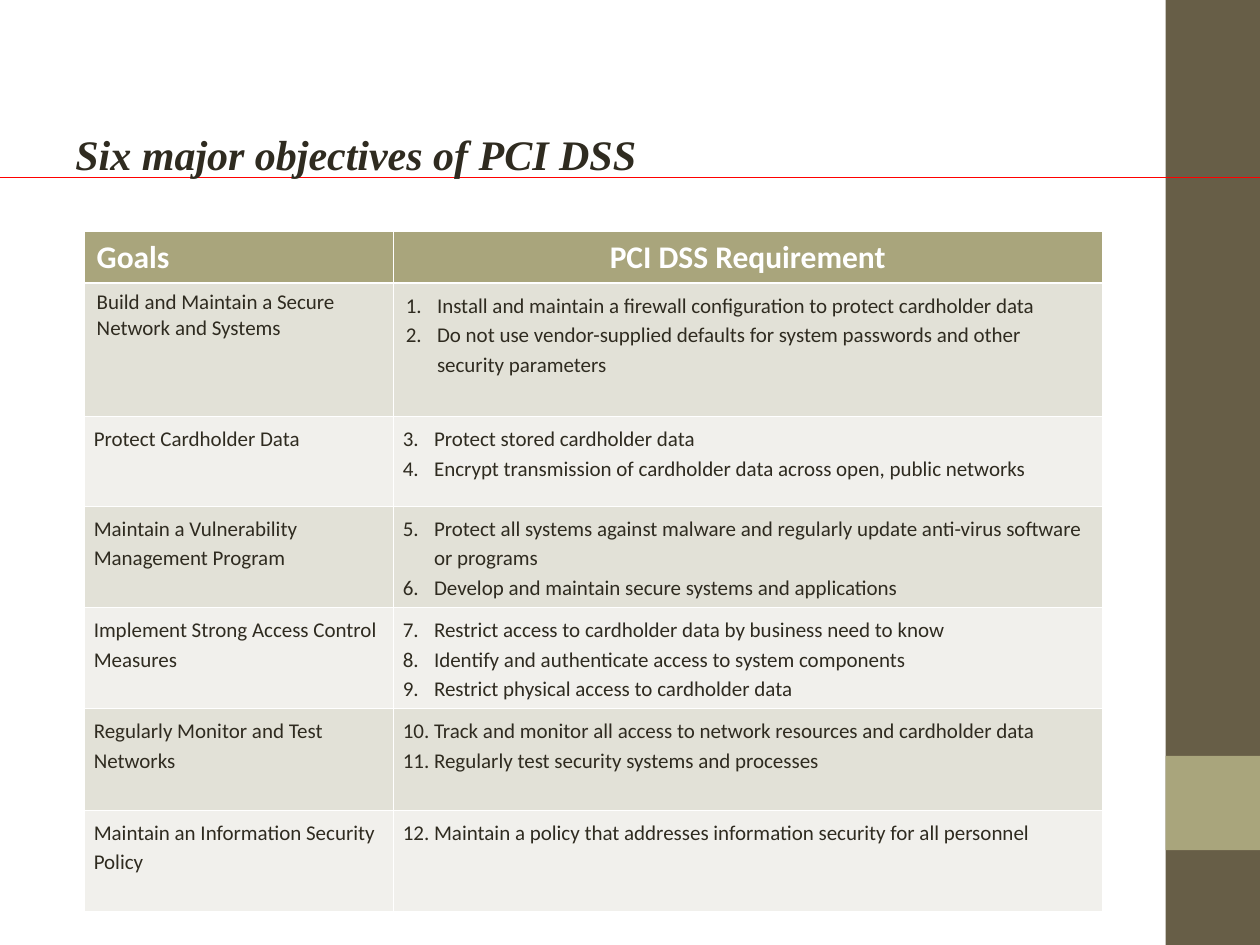
from lxml import etree
from pptx import Presentation
from pptx.dml.color import RGBColor
from pptx.enum import shapes, text
from pptx.oxml import ns
from pptx.util import Cm, Pt

DARK, OLIVE, WHITE = "2F2B20", "A9A57C", "FFFFFF"
BANDS = ["E2E1D7", "F1F0EC"]


def tint(part, hue):
    """Give a fill a solid colour."""
    part.solid()
    part.fore_color.rgb = RGBColor.from_string(hue)


def style(par, face, size, hue, bold=False, slant=False):
    """Format every run of a paragraph."""
    for run in par.runs:
        font = run.font
        font.name, font.size = face, Pt(size)
        font.bold, font.italic = bold, slant
        tint(font.fill, hue)


deck = Presentation()
deck.slide_width, deck.slide_height = Cm(25.4), Cm(19.05)
slide = deck.slides.add_slide(deck.slide_layouts[6])

# Side bar with its accent square
for top, high, hue in [(0, 19.05, "675E47"), (15.24, 1.9, OLIVE)]:
    bar = slide.shapes.add_shape(shapes.MSO_SHAPE.RECTANGLE,
                                 Cm(23.5), Cm(top), Cm(1.9), Cm(high))
    bar.shadow.inherit = False
    tint(bar.fill, hue)
    bar.line.fill.background()

# Rule below the title
rule = slide.shapes.add_connector(shapes.MSO_CONNECTOR.STRAIGHT,
                                  Cm(0), Cm(3.58), Cm(25.4), Cm(3.58))
tint(rule.line.fill, "FF0000")
rule.line.width = Pt(0.75)
etree.SubElement(rule._element.spPr, ns.qn("a:effectLst"))

# Goals, each with its numbered requirements
goals = [
    ("Build and Maintain a Secure Network and Systems", 2.69, [
        "Install and maintain a firewall configuration to protect cardholder data",
        "Do not use vendor-supplied defaults for system passwords and other "
        "security parameters"]),
    ("Protect Cardholder Data", 1.81, [
        "Protect stored cardholder data",
        "Encrypt transmission of cardholder data across open, public networks"]),
    ("Maintain a Vulnerability Management Program", 2.04, [
        "Protect all systems against malware and regularly update anti-virus "
        "software or programs",
        "Develop and maintain secure systems and applications"]),
    ("Implement Strong Access Control Measures", 2.04, [
        "Restrict access to cardholder data by business need to know",
        "Identify and authenticate access to system components",
        "Restrict physical access to cardholder data"]),
    ("Regularly Monitor and Test Networks", 2.04, [
        "Track and monitor all access to network resources and cardholder data",
        "Regularly test security systems and processes"]),
    ("Maintain an Information Security Policy", 2.04, [
        "Maintain a policy that addresses information security for all personnel"]),
]
highs = [1.03] + [high for _, high, _ in goals]
grid = slide.shapes.add_table(len(highs), 2, Cm(1.7), Cm(4.67),
                              Cm(20.52), Cm(sum(highs))).table
for col, wide in zip(grid.columns, [6.23, 14.29]):
    col.width = Cm(wide)
for row, high in zip(grid.rows, highs):
    row.height = Cm(high)

# Header row
for col, name in enumerate(["Goals", "PCI DSS Requirement"]):
    cell = grid.cell(0, col)
    cell.text_frame.text = name
    style(cell.text_frame.paragraphs[0], "Calibri", 18, WHITE, bold=True)
grid.cell(0, 1).text_frame.paragraphs[0].alignment = text.PP_ALIGN.CENTER

# Body rows, numbered on through the whole table
start = 1
for row, (goal, _, needs) in enumerate(goals, 1):
    left, right = grid.cell(row, 0).text_frame, grid.cell(row, 1).text_frame
    left.text, right.text = goal, "\n".join(needs)
    for par in left.paragraphs + right.paragraphs:
        style(par, "Calibri", 12, DARK)
        par.line_spacing = 1.15
    if row == 1:
        left.paragraphs[0].line_spacing = 1.0
    for par in right.paragraphs:
        props = par._p.get_or_add_pPr()
        props.set("marL", str(Cm(0.63)))
        props.set("indent", str(-Cm(0.63)))
        etree.SubElement(props, ns.qn("a:buFont"), typeface="+mj-lt")
        etree.SubElement(props, ns.qn("a:buAutoNum"),
                         type="arabicPeriod", startAt=str(start))
    start += len(needs)

# Cell fills, margins and white borders
for row in range(len(highs)):
    for col in range(2):
        cell = grid.cell(row, col)
        tint(cell.fill, BANDS[(row - 1) % 2] if row else OLIVE)
        wide = row == 1 or (row, col) == (0, 0)
        cell.margin_left = cell.margin_right = Cm(0.25 if wide else 0.19)
        cell.margin_top = cell.margin_bottom = Cm(0.13)
        props = cell._tc.get_or_add_tcPr()
        for spot, side in enumerate("LRTB"):
            thick = (row, side) in [(0, "B"), (1, "T")]
            edge = etree.Element(ns.qn("a:ln" + side),
                                 w=str(Pt(1.5 if thick else 0.45)))
            paint = etree.SubElement(edge, ns.qn("a:solidFill"))
            etree.SubElement(paint, ns.qn("a:srgbClr"), val=WHITE)
            props.insert(spot, edge)

# Title
title = slide.shapes.add_textbox(Cm(1.27), Cm(2.34), Cm(12.5), Cm(2.29))
frame = title.text_frame
frame.word_wrap = True
frame.margin_top = Cm(0.25)
frame.text = "Six major objectives of PCI DSS"
style(frame.paragraphs[0], "Times New Roman", 24, DARK, bold=True, slant=True)

deck.save("out.pptx")
